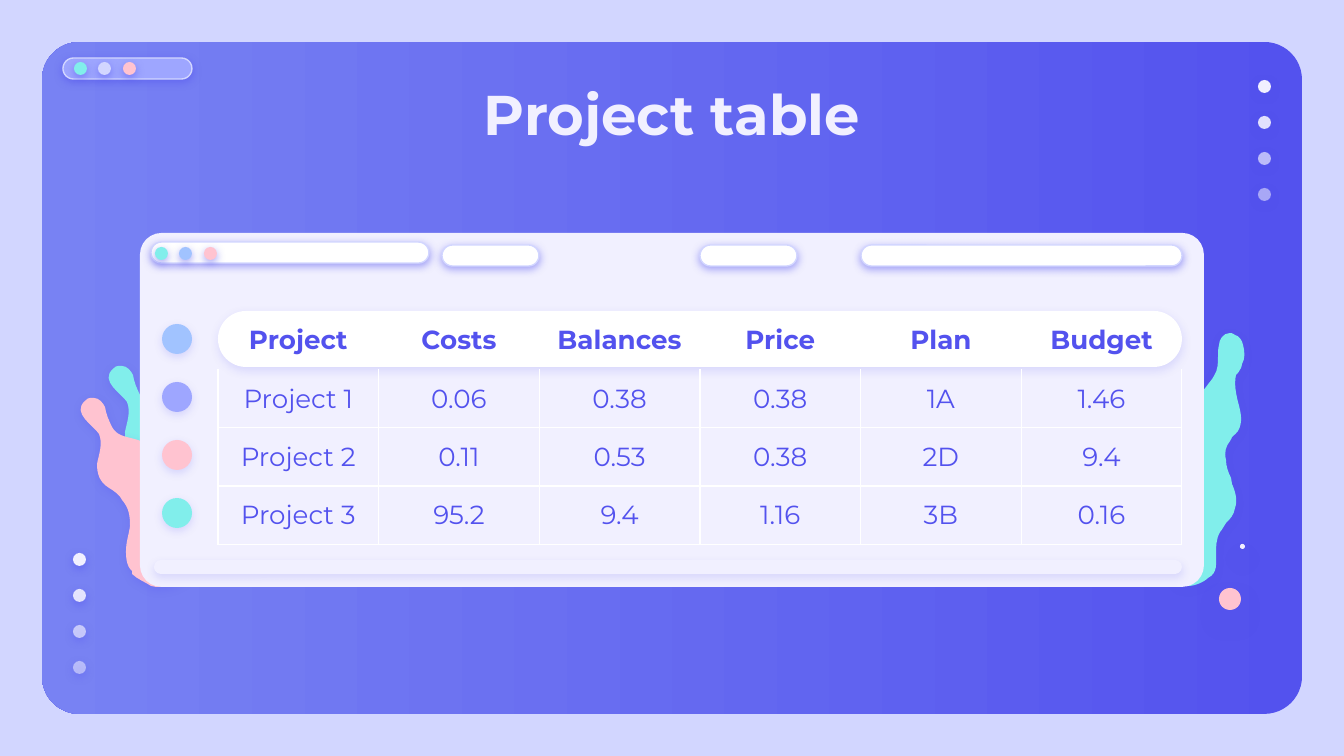
from lxml import etree
from pptx import Presentation
from pptx import util as u
from pptx.dml import color
from pptx.enum import shapes, text
from pptx.oxml import ns

FONT = "Montserrat"
INDIGO, LILAC, PALE, MIST = "5352EE", "9EA6FF", "F1F0FF", "D2D6FF"
TEAL, SKY, PINK, WHITE = "81EEEB", "A1C3FF", "FFC3D0", "FFFFFF"
OVAL = shapes.MSO_SHAPE.OVAL
INSET = u.Inches(0.1)

ROWS = [
    ["Project", "Costs", "Balances", "Price", "Plan", "Budget"],
    ["Project 1", "0.06", "0.38", "0.38", "1A", "1.46"],
    ["Project 2", "0.11", "0.53", "0.38", "2D", "9.4"],
    ["Project 3", "95.2", "9.4", "1.16", "3B", "0.16"],
]
TALL_CORAL = [
    (1223, 333, 1219, 340, 1219, 345), (1218, 349, 1218, 352, 1218, 356),
    (1218, 363, 1218, 370, 1214, 376), (1212, 380, 1208, 384, 1206, 387),
    (1204, 390, 1202, 392, 1199, 395), (1193, 406, 1191, 418, 1192, 430),
    (1195, 442, 1192, 452, 1183, 462), (1173, 472, 1165, 482, 1168, 496),
    (1169, 501, 1171, 507, 1173, 512), (1177, 520, 1181, 528, 1179, 538),
    (1179, 540, 1176, 544, 1175, 547), (1175, 548, 1173, 550, 1173, 551),
    (1171, 558, 1169, 564, 1171, 570), (1172, 574, 1175, 579, 1177, 582),
    (1179, 583, 1180, 583, 1181, 585), (1184, 585, 1187, 586, 1188, 586),
    (1195, 586, 1204, 582, 1208, 578), (1218, 573, 1216, 563, 1216, 554),
    (1216, 547, 1216, 539, 1220, 532), (1222, 530, 1224, 526, 1226, 523),
    (1230, 519, 1234, 515, 1235, 508), (1238, 500, 1235, 491, 1232, 484),
    (1232, 482, 1231, 480, 1231, 478), (1228, 472, 1226, 466, 1226, 460),
    (1224, 452, 1226, 446, 1230, 441), (1231, 439, 1232, 438, 1232, 437),
    (1235, 435, 1236, 433, 1238, 431), (1243, 422, 1241, 413, 1238, 402),
    (1236, 394, 1234, 384, 1236, 375), (1238, 374, 1239, 371, 1241, 368),
    (1241, 367, 1242, 366, 1242, 364), (1245, 359, 1245, 352, 1243, 345),
    (1242, 340, 1239, 336, 1235, 335), (1232, 333, 1231, 333, 1230, 333),
]
BENT_CORAL = [
    (89, 398, 86, 399, 85, 401), (71, 413, 94, 426, 99, 434),
    (103, 444, 99, 454, 97, 464), (97, 473, 99, 482, 109, 488),
    (114, 491, 120, 495, 122, 500), (129, 508, 130, 516, 130, 526),
    (129, 534, 126, 542, 126, 551), (126, 556, 126, 566, 132, 571),
    (132, 571, 132, 574, 132, 574), (137, 579, 145, 582, 151, 586),
    (152, 586, 155, 587, 156, 587), (161, 587, 167, 586, 171, 585),
    (183, 581, 196, 571, 202, 559), (211, 539, 203, 513, 185, 500),
    (180, 497, 175, 495, 171, 489), (163, 482, 161, 468, 157, 458),
    (145, 431, 121, 444, 112, 427), (109, 421, 106, 414, 105, 407),
    (103, 403, 99, 398, 94, 398), (93, 398, 91, 398, 90, 398),
]


def px(n):
    """Turn px into EMU."""
    return u.Emu(round(n * 914400 / 134.4))


def rgb(value):
    """Turn a hex string into a colour."""
    return color.RGBColor.from_string(value)


def sub(parent, tag, **attrs):
    """Append a DrawingML element."""
    return etree.SubElement(parent, ns.qn(tag), {k: str(v) for k, v in attrs.items()})


def paint(s, fill, line=None, shadow=0, blur=4.5, dist=1.5, opacity=100):
    """Set fill, outline and a downward shadow of the given strength."""
    s.fill.solid()
    s.fill.fore_color.rgb = rgb(fill)
    if opacity < 100:
        clr = s._element.spPr.find(ns.qn("a:solidFill"))[0]
        sub(clr, "a:alpha", val=opacity * 1000)
    if line:
        s.line.color.rgb = rgb(line)
        s.line.width = u.Pt(0.75)
    else:
        s.line.fill.background()
    s.shadow.inherit = False
    if shadow:
        effects = s._element.spPr.find(ns.qn("a:effectLst"))
        outer = sub(effects, "a:outerShdw", blurRad=u.Pt(blur), dist=u.Pt(dist),
                    dir=5400000, algn="bl", rotWithShape=0)
        sub(sub(outer, "a:srgbClr", val=INDIGO), "a:alpha", val=shadow * 1000)


def dot(slide, x, y, size, fill, **look):
    """Add a circle."""
    s = slide.shapes.add_shape(OVAL, px(x), px(y), px(size), px(size))
    paint(s, fill, **look)


def pill(slide, x, y, w, h, fill, round_by=0.5, **look):
    """Add a rounded bar."""
    s = slide.shapes.add_shape(shapes.MSO_SHAPE.ROUNDED_RECTANGLE,
                               px(x), px(y), px(w), px(h))
    s.adjustments[0] = round_by
    paint(s, fill, **look)
    return s


def window_buttons(slide, x, y, fills):
    """Add the row of three window buttons."""
    for i, fill in enumerate(fills):
        dot(slide, x + 49 * i // 2, y, 13, fill, shadow=50)


def fading_dots(slide, x, y):
    """Add a column of dots that fade downwards."""
    for i, opacity in enumerate((100, 90, 67, 54)):
        dot(slide, x, y + 36 * i, 13, PALE, shadow=50, opacity=opacity)


def coral(slide, curves, fill, shadow, dx=0, dy=0):
    """Add a closed outline of cubic curves that ends where it starts."""
    ends = [(x, y) for *_, x, y in curves]
    left, top = (min(values) for values in zip(*ends))
    builder = slide.shapes.build_freeform(*ends[-1], scale=px(1))
    builder.add_line_segments(ends[:-1], close=True)
    s = builder.convert_to_shape(px(dx), px(dy))
    outline = next(s._element.iter(ns.qn("a:path")))
    for step in outline.findall(ns.qn("a:lnTo")):
        outline.remove(step)
    close = outline.find(ns.qn("a:close"))
    for curve in curves:
        bend = sub(outline, "a:cubicBezTo")
        for x, y in zip(curve[::2], curve[1::2]):
            sub(bend, "a:pt", x=x - left, y=y - top)
    outline.append(close)
    paint(s, fill, shadow=shadow)


def write(tf, words, size, ink, bold):
    """Write one centred run."""
    p = tf.paragraphs[0]
    p.alignment = text.PP_ALIGN.CENTER
    r = p.add_run()
    r.text = words
    r.font.name, r.font.size, r.font.bold = FONT, u.Pt(size), bold
    r.font.color.rgb = rgb(ink)


def inset(box):
    """Give a text frame or cell equal margins."""
    box.margin_left = box.margin_right = box.margin_top = box.margin_bottom = INSET


def title(slide, words):
    """Add the slide title."""
    tf = slide.shapes.add_textbox(px(106), px(66), px(1132), px(85)).text_frame
    tf.word_wrap = True
    inset(tf)
    write(tf, words, 30, PALE, True)


def borders(cell, sides):
    """Draw white lines on the given sides and none on the others."""
    tc_pr = cell._tc.get_or_add_tcPr()
    for side in "LRTB":
        ln = sub(tc_pr, f"a:ln{side}", w=u.Pt(0.75))
        if side in sides:
            sub(sub(ln, "a:solidFill"), "a:srgbClr", val=WHITE)
        else:
            sub(ln, "a:noFill")


def project_table(slide):
    """Add the table of projects."""
    table = slide.shapes.add_table(len(ROWS), len(ROWS[0]), px(218), px(311),
                                   px(964), px(228)).table
    table.first_row = table.horz_banding = False
    for col in table.columns:
        col.width = px(964 / len(ROWS[0]))
    for i, row in enumerate(ROWS):
        table.rows[i].height = px(57)
        for j, words in enumerate(row):
            cell = table.cell(i, j)
            borders(cell, ("", "LRB", "LRTB", "LRTB")[i])
            cell.fill.background()
            inset(cell)
            if i and j:
                cell.vertical_anchor = text.MSO_ANCHOR.MIDDLE
            write(cell.text_frame, words, 14, INDIGO, i == 0)


def backdrop(slide):
    """Add the gradient panel and its ornaments."""
    slide.background.fill.solid()
    slide.background.fill.fore_color.rgb = rgb(MIST)
    panel = pill(slide, 42, 42, 1260, 672, INDIGO, 0.056)
    panel.fill.gradient()
    panel.fill.gradient_angle = 180
    for stop, fill in zip(panel.fill.gradient_stops, (INDIGO, "7882F3")):
        stop.color.rgb = rgb(fill)
    pill(slide, 63, 58, 129, 21, LILAC, line=MIST, shadow=50)
    window_buttons(slide, 74, 62, (TEAL, MIST, PINK))
    fading_dots(slide, 1258, 80)
    fading_dots(slide, 73, 553)
    coral(slide, TALL_CORAL, TEAL, 18)
    coral(slide, BENT_CORAL, TEAL, 22, dx=28, dy=-32)
    coral(slide, BENT_CORAL, PINK, 22)
    dot(slide, 1219, 588, 22, PINK, shadow=38, blur=12.4, dist=6.8)
    dot(slide, 1240, 544, 5, PALE, shadow=38, blur=12.4, dist=6.8)


def window(slide):
    """Add the window that holds the table."""
    pill(slide, 140, 233, 1064, 354, PALE, 0.061)
    for i, fill in enumerate((SKY, LILAC, PINK, TEAL)):
        dot(slide, 162, 324 + 58 * i, 30, fill, shadow=16)
    pill(slide, 154, 560, 1028, 14, PALE, shadow=15)
    for x, y, w in ((151, 242, 278), (442, 245, 97), (700, 245, 97), (861, 245, 321)):
        pill(slide, x, y, w, 21, WHITE, line=MIST, shadow=50)
    pill(slide, 218, 311, 964, 56, WHITE, shadow=15)


def main():
    """Build and save the slide."""
    prs = Presentation()
    prs.slide_width, prs.slide_height = px(1344), px(756)
    slide = prs.slides.add_slide(prs.slide_layouts[6])
    backdrop(slide)
    window(slide)
    title(slide, "Project table")
    project_table(slide)
    window_buttons(slide, 155, 247, (TEAL, SKY, PINK))
    prs.save("out.pptx")


if __name__ == "__main__":
    main()
